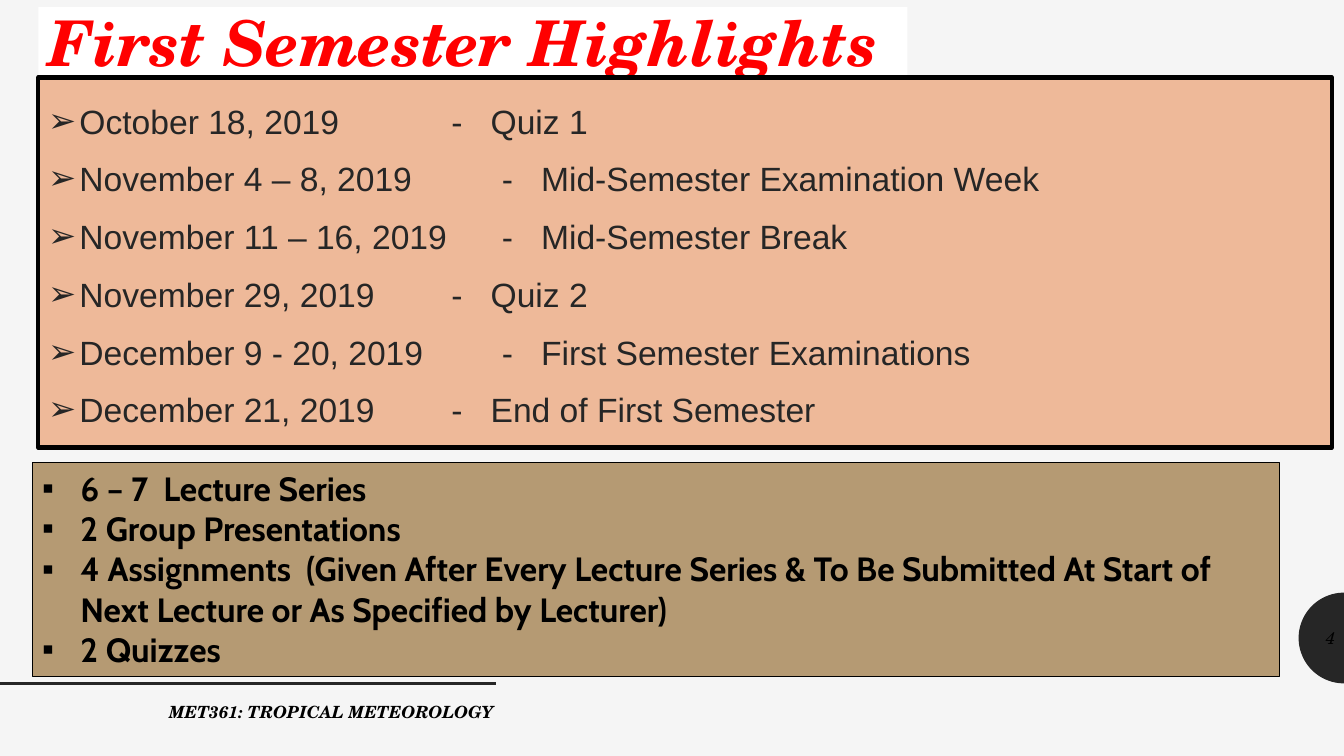
from math import cos, pi, sin

from lxml.etree import SubElement
from pptx import Presentation
from pptx.dml.color import RGBColor
from pptx.enum.shapes import MSO_CONNECTOR, MSO_SHAPE
from pptx.enum.text import MSO_ANCHOR, PP_ALIGN
from pptx.oxml.ns import qn
from pptx.util import Inches, Pt

COLORS = {"paper": "F5F5F5", "dark": "262626", "black": "000000", "white": "FFFFFF",
          "red": "FF0000", "peach": "EEB999", "tan": "B59A73"}
SERIF = {"name": "TeX Gyre Schola", "italic": True}


class SemesterSlide:
    """Draws the elements of one slide in a shared style."""

    def __init__(self, slide):
        self.slide = slide
        self.paint(slide.background.fill, "paper")

    def paint(self, fill, color):
        fill.solid()
        fill.fore_color.rgb = RGBColor.from_string(COLORS[color])

    def apply(self, target, values):
        for name, value in values.items():
            setattr(target, name, value)

    def half_disc(self, center_x, center_y, radius, steps=48):
        arc = [(Inches(center_x - radius * sin(pi * i / steps)),
                Inches(center_y - radius * cos(pi * i / steps))) for i in range(steps + 1)]
        builder = self.slide.shapes.build_freeform(*arc[0])
        builder.add_line_segments(arc[1:], close=True)
        disc = builder.convert_to_shape()
        disc.shadow.inherit = False
        self.paint(disc.fill, "dark")
        disc.line.fill.background()

    def rule(self, start_x, end_x, y, color, width):
        line = self.slide.shapes.add_connector(
            MSO_CONNECTOR.STRAIGHT, Inches(start_x), Inches(y), Inches(end_x), Inches(y))
        self.paint(line.line.fill, color)
        line.line.width = Pt(width)
        SubElement(line._element.spPr, qn("a:effectLst"))

    def panel(self, box, fill, border=0):
        shape = self.slide.shapes.add_shape(MSO_SHAPE.RECTANGLE, *map(Inches, box))
        shape.shadow.inherit = False
        self.paint(shape.fill, fill)
        if border:
            self.paint(shape.line.fill, "black")
            shape.line.width = Pt(border)
        else:
            shape.line.fill.background()
        return shape

    def label(self, box):
        return self.slide.shapes.add_textbox(*map(Inches, box))

    def add_lines(self, shape, lines, color, font, paragraph=None, frame=None, bullet=None, indent=0):
        text = shape.text_frame
        self.apply(text, {"word_wrap": True, "vertical_anchor": MSO_ANCHOR.TOP, **(frame or {})})
        for i, line in enumerate(lines):
            entry = text.paragraphs[0] if i == 0 else text.add_paragraph()
            self.apply(entry, {"alignment": PP_ALIGN.LEFT, **(paragraph or {})})
            run = entry.add_run()
            run.text = line
            self.apply(run.font, font)
            self.paint(run.font.fill, color)
            if bullet:
                props = entry._p.get_or_add_pPr()
                props.set("marL", str(Inches(indent)))
                props.set("indent", str(-Inches(indent)))
                SubElement(props, qn("a:buFont"), typeface="Arial")
                SubElement(props, qn("a:buChar"), char=bullet)


def main():
    deck = Presentation()
    deck.slide_width, deck.slide_height = Inches(13.33), Inches(7.5)
    page = SemesterSlide(deck.slides.add_slide(deck.slide_layouts[6]))
    right = {"alignment": PP_ALIGN.RIGHT}
    middle = {"vertical_anchor": MSO_ANCHOR.MIDDLE}

    page.half_disc(13.33, 6.33, 0.45)
    page.rule(0, 4.92, 6.78, "dark", 2)
    page.add_lines(page.label((0.83, 6.91, 4.17, 0.4)), ["MET361: TROPICAL METEOROLOGY"], "black",
                   {**SERIF, "size": Pt(12), "bold": True}, right)
    page.add_lines(page.label((12.89, 6.13, 0.45, 0.4)), ["4"], "black",
                   {**SERIF, "size": Pt(12)}, right, middle)

    page.add_lines(page.panel((0.38, 0.07, 8.62, 0.73), "white"), ["First Semester Highlights"], "red",
                   {**SERIF, "size": Pt(45), "bold": True}, {**right, "line_spacing": 0.9},
                   {"margin_left": 0, "margin_right": Inches(0.3)})

    calendar = [
        ("October 18, 2019", 3, "Quiz 1"),
        ("November 4 – 8, 2019", 2, "Mid-Semester Examination Week"),
        ("November 11 – 16, 2019", 2, "Mid-Semester Break"),
        ("November 29, 2019", 2, "Quiz 2"),
        ("December 9 - 20, 2019", 2, "First Semester Examinations"),
        ("December 21, 2019", 2, "End of First Semester"),
    ]
    page.add_lines(page.panel((0.38, 0.77, 12.83, 3.67), "peach", 3),
                   [date + "\t" * tabs + "-   " + event for date, tabs, event in calendar], "dark",
                   {"name": "Arial", "size": Pt(24)},
                   {"alignment": PP_ALIGN.JUSTIFY, "line_spacing": 1.12, "space_before": Pt(9)},
                   middle, "➢", 0.31)

    coursework = [
        "6 – 7  Lecture Series",
        "2 Group Presentations",
        "4 Assignments  (Given After Every Lecture Series & To Be Submitted At Start of "
        "Next Lecture or As Specified by Lecturer)",
        "2 Quizzes",
    ]
    page.add_lines(page.panel((0.32, 4.59, 12.37, 2.12), "tan", 0.75), coursework, "black",
                   {"name": "Cabin", "size": Pt(24), "bold": True}, bullet="▪", indent=0.38)

    deck.save("out.pptx")


if __name__ == "__main__":
    main()
